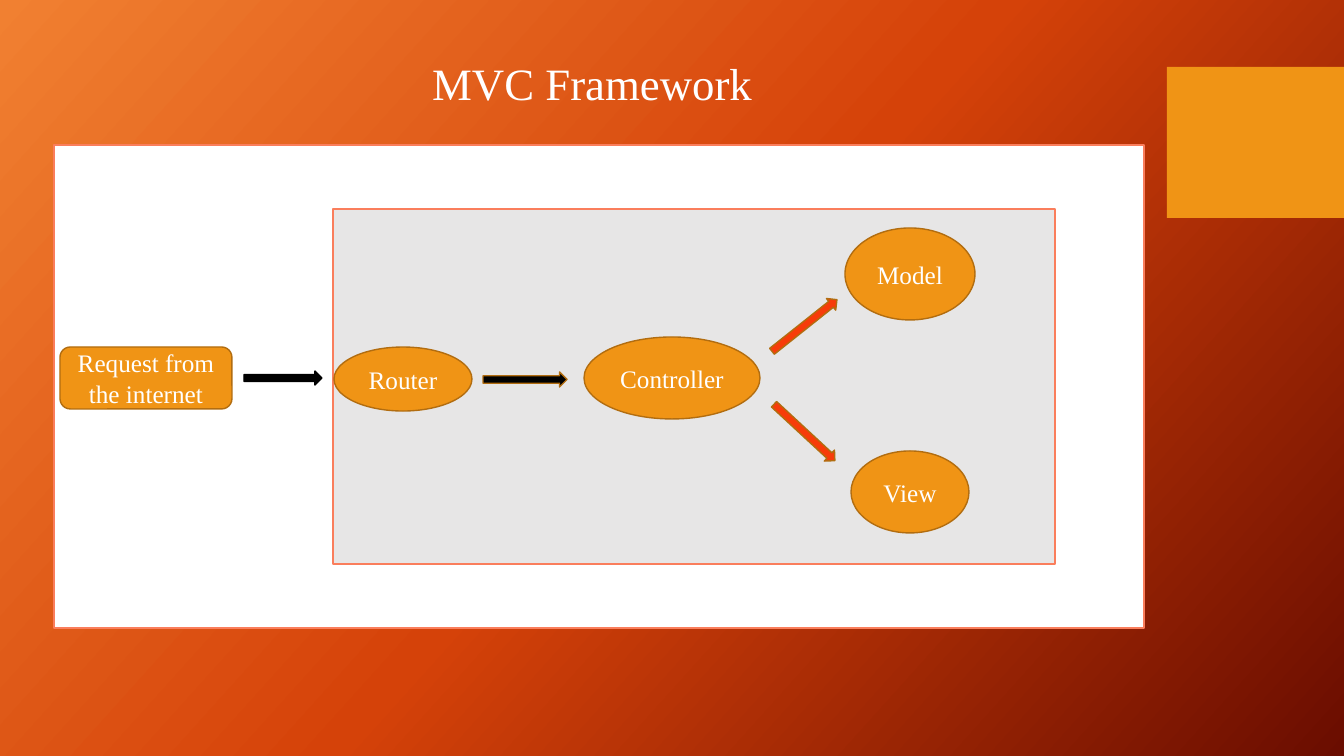
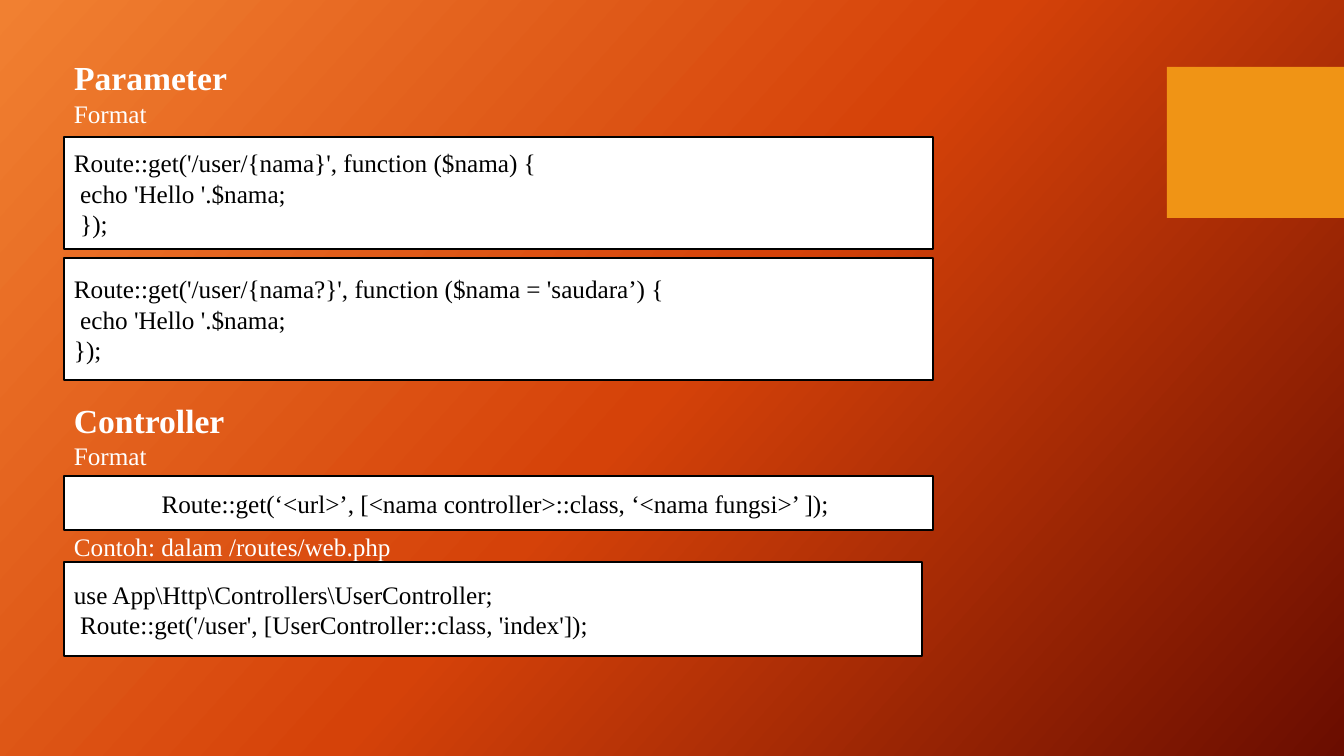
import copy
import pptx
import pptx.util
import pptx.dml.color
import pptx.enum.shapes
import pptx.enum.text
import pptx.oxml.ns

Color = pptx.dml.color.RGBColor
Kind = pptx.enum.shapes.MSO_SHAPE
Align = pptx.enum.text.PP_ALIGN
Anchor = pptx.enum.text.MSO_ANCHOR
Pt = pptx.util.Pt

PEACH = Color(0xF1, 0x80, 0x31)
RUST = Color(0xD5, 0x42, 0x09)
WINE = Color(0x6A, 0x0D, 0x00)
GOLD = Color(0xF0, 0x94, 0x15)
BRONZE = Color(0xB2, 0x6D, 0x10)
CORAL = Color(0xFA, 0x7E, 0x5C)
RED = Color(0xF7, 0x3C, 0x09)
GREY = Color(0xE7, 0xE6, 0xE6)
WHITE = Color(0xFF, 0xFF, 0xFF)
BLACK = Color(0x00, 0x00, 0x00)

FONT = "Times New Roman"
LEAD = 1.2
BODY = 18
HEAD = 24
SCALE = 914400 / 100.8


def style(frame, size, color, align=Align.LEFT, bold=False):
    frame.word_wrap = True
    frame.auto_size = pptx.enum.text.MSO_AUTO_SIZE.NONE
    for line in frame.paragraphs:
        line.alignment = align
        line.line_spacing = Pt(LEAD * size)
        for run in line.runs:
            run.font.name = FONT
            run.font.size = Pt(size)
            run.font.bold = bold
            run.font.color.rgb = color


def draw(slide, kind, area, fill, edge=None):
    shape = slide.shapes.add_shape(kind, *[round(n * SCALE) for n in area])
    shape.shadow.inherit = False
    shape.fill.solid()
    shape.fill.fore_color.rgb = fill
    if edge is None:
        shape.line.fill.background()
    else:
        shape.line.color.rgb = edge
        shape.line.width = Pt(1)
    return shape


deck = pptx.Presentation()
deck.slide_width = round(1344 * SCALE)
deck.slide_height = round(756 * SCALE)
master = deck.slide_master
layout = deck.slide_layouts[5]

back = master.background.fill
back.gradient()
back.gradient_angle = 360 - 42
stops = master.element.find(".//" + pptx.oxml.ns.qn("a:gsLst"))
stops.append(copy.deepcopy(stops[0]))
for stop, color, place in zip(back.gradient_stops, (PEACH, RUST, WINE), (0, 0.5, 1)):
    stop.color.rgb = color
    stop.position = place

titles = [
    ("MVC Framework", (422, 51, 354, 65), 32, False),
    ("Parameter", (64, 52, 1031, 50), HEAD, True),
]
slides = []
for text, area, size, bold in titles:
    slide = deck.slides.add_slide(layout)
    title = slide.shapes.title
    title.left, title.top, title.width, title.height = [round(n * SCALE) for n in area]
    title.text_frame.text = text
    title.text_frame.vertical_anchor = Anchor.TOP
    style(title.text_frame, size, WHITE, bold=bold)
    slides.append(slide)
flow, code = slides

block = draw(flow, Kind.RECTANGLE, (1167, 67, 177, 151), GOLD)
block.element.nvSpPr.cNvPr.set("id", "20")
master.shapes.element.append(block.element)

draw(flow, Kind.RECTANGLE, (54, 145, 1090, 483), WHITE, CORAL)
draw(flow, Kind.RECTANGLE, (333, 209, 722, 355), GREY, CORAL)

OVAL = Kind.FLOWCHART_CONNECTOR
nodes = [
    ("Request from the internet", Kind.ROUNDED_RECTANGLE, (60, 347, 172, 62)),
    ("Router", OVAL, (334, 347, 138, 64)),
    ("Controller", OVAL, (584, 337, 176, 82)),
    ("Model", OVAL, (845, 228, 130, 92)),
    ("View", OVAL, (851, 451, 118, 82)),
]
for text, kind, area in nodes:
    node = draw(flow, kind, area, GOLD, BRONZE)
    node.text_frame.text = text
    node.text_frame.vertical_anchor = Anchor.MIDDLE
    style(node.text_frame, BODY, WHITE, Align.CENTER)

arrows = [
    ((244, 371, 78, 14), 0, BLACK, BLACK),
    ((483, 372, 84, 15), 0, BLACK, BRONZE),
    ((763, 318, 83, 15), 321.5, RED, BRONZE),
    ((763, 425, 83, 15), 42.8, RED, BRONZE),
]
for area, turn, fill, edge in arrows:
    arrow = draw(flow, Kind.RIGHT_ARROW, area, fill, edge)
    arrow.rotation = turn

labels = code.shapes.add_textbox(*[round(n * SCALE) for n in (64, 93, 1031, 478)])
labels.text_frame.text = "Format\nController\nFormat\nContoh: dalam /routes/web.php"
style(labels.text_frame, BODY, WHITE)
lines = labels.text_frame.paragraphs
lines[1].space_before = Pt(9 * LEAD * BODY)
lines[1].line_spacing = Pt(LEAD * HEAD)
lines[1].runs[0].font.size = Pt(HEAD)
lines[1].runs[0].font.bold = True
lines[3].space_before = Pt(2 * LEAD * BODY)

panels = [
    ("Route::get('/user/{nama}', function ($nama) {\n echo 'Hello '.$nama;\n });",
     137, 869, 112, Align.LEFT),
    ("Route::get('/user/{nama?}', function ($nama = 'saudara’) {\n echo 'Hello '.$nama;\n});",
     258, 869, 122, Align.LEFT),
    ("Route::get(‘<url>’, [<nama controller>::class, ‘<nama fungsi>’ ]); ",
     476, 869, 54, Align.CENTER),
    ("use App\\Http\\Controllers\\UserController;\n Route::get('/user', [UserController::class, 'index']);",
     562, 858, 94, Align.LEFT),
]
for text, top, width, height, align in panels:
    panel = draw(code, Kind.RECTANGLE, (64, top, width, height), WHITE, BLACK)
    panel.text_frame.text = text
    panel.text_frame.vertical_anchor = Anchor.MIDDLE
    style(panel.text_frame, BODY, BLACK, align)

deck.save("out.pptx")
